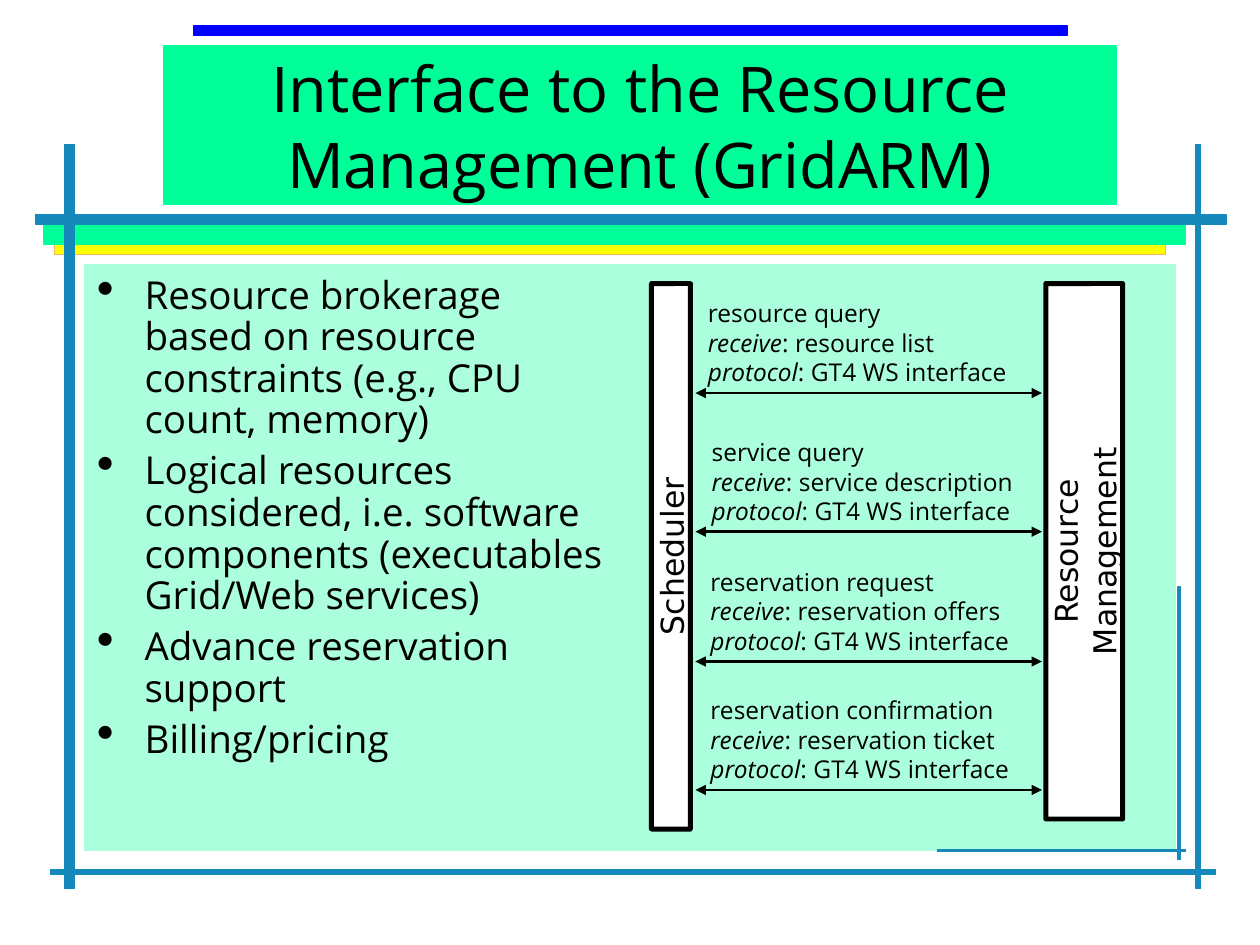
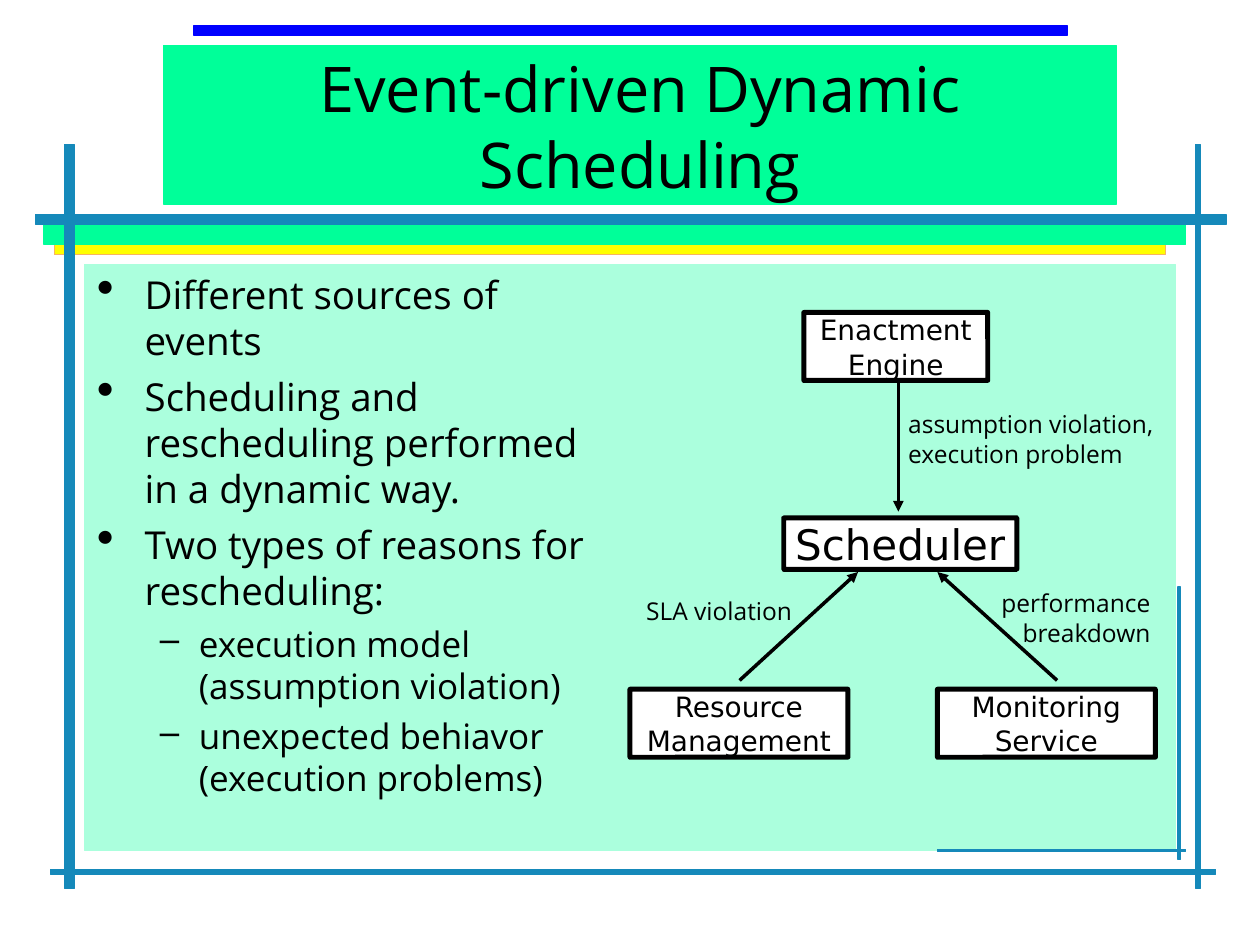
from dataclasses import dataclass

from lxml import etree
from pptx import Presentation
from pptx import util as u
from pptx.dml.color import RGBColor
from pptx.enum import shapes, text
from pptx.oxml import ns


@dataclass(frozen=True)
class Theme:
    black: str = "000000"
    white: str = "FFFFFF"
    mint: str = "ABFFDD"
    green: str = "00FF99"
    yellow: str = "FFFF00"
    amber: str = "F8B45F"
    teal: str = "1589BA"
    blue: str = "0000FF"
    body_font: str = "Open Sans"
    box_font: str = "DejaVu Sans"
    title_size: float = 36
    bullet_size: float = 22
    sub_bullet_size: float = 20
    label_size: float = 14
    node_size: float = 16
    bar_size: float = 18
    hub_size: float = 24
    node_line: float = 2.83


THEME = Theme()
LEFT, CENTER, RIGHT = text.PP_ALIGN.LEFT, text.PP_ALIGN.CENTER, text.PP_ALIGN.RIGHT

# left, top, width, height, fill, line colour, line width
FRAME = [
    (0.67, 2.1, 8.66, 4.65, THEME.mint, THEME.mint, 0.75),
    (1.3, 0.36, 7.56, 1.26, THEME.green, THEME.green, 0.75),
    (0.43, 1.94, 8.82, 0.08, THEME.yellow, THEME.amber, 0.75),
    (0.35, 1.78, 9.06, 0.16, THEME.green, THEME.green, 0.75),
    (0.51, 1.15, 0.08, 5.9, THEME.teal, THEME.teal, 0.75),
    (0.28, 1.7, 9.45, 0.08, THEME.teal, THEME.teal, 0.75),
    (1.54, 0.2, 6.93, 0.08, THEME.blue, THEME.blue, 0.75),
    (0.4, 6.9, 9.25, 0.04, THEME.teal, THEME.teal, 0),
    (9.49, 1.15, 0.04, 5.9, THEME.teal, THEME.teal, 0),
    (9.35, 4.66, 0.02, 2.16, THEME.teal, THEME.teal, 0),
    (7.44, 6.74, 1.97, 0.02, THEME.teal, THEME.teal, 0),
]

# line height, label left, label width, request, answer
EXCHANGES = [
    (3.12, 5.52, 2.59, "resource query", "resource list"),
    (4.22, 5.55, 2.61, "service query", "service description"),
    (5.25, 5.54, 2.59, "reservation request", "reservation offers"),
    (6.27, 5.54, 2.59, "reservation confirmation", "reservation ticket"),
]


def inches(*lengths):
    return [u.Inches(length) for length in lengths]


def add_child(parent, tag, **attributes):
    child = etree.SubElement(parent, ns.qn(tag))
    for name, value in attributes.items():
        child.set(name, value)
    return child


def set_bullet(para, char, percent, left, hanging):
    props = para._p.get_or_add_pPr()
    props.set("marL", str(u.Inches(left)))
    props.set("indent", str(-u.Inches(hanging)))
    add_child(add_child(props, "a:buClr"), "a:srgbClr", val=THEME.black)
    add_child(props, "a:buSzPct", val=str(percent * 1000))
    add_child(props, "a:buChar", char=char)


def write(para, content, size, font=THEME.body_font, align=LEFT, spacing=None,
          before=0):
    """Fill a paragraph; content is a string or a list of (words, italic)."""
    para.alignment = align
    if spacing:
        para.line_spacing = spacing
    para.space_before = u.Pt(before)
    spans = [(content, False)] if isinstance(content, str) else content
    for words, italic in spans:
        span = para.add_run()
        span.text = words
        span.font.name = font
        span.font.size = u.Pt(size)
        span.font.italic = italic
        span.font.color.rgb = RGBColor.from_string(THEME.black)


def paragraphs(frame, count):
    return [frame.paragraphs[0]] + [frame.add_paragraph() for _ in range(count - 1)]


def write_lines(frame, lines, **style):
    for para, line in zip(paragraphs(frame, len(lines)), lines):
        write(para, line, **style)


def add_filled(page, kind, at, fill, line, width):
    box = page.shapes.add_shape(kind, *inches(*at))
    box.shadow.inherit = False
    box.fill.solid()
    box.fill.fore_color.rgb = RGBColor.from_string(fill)
    box.line.color.rgb = RGBColor.from_string(line)
    box.line.width = u.Pt(width)
    return box


def add_node(page, at, lines, size, rotation=0):
    """White box with a heavy outline and centred text."""
    box = add_filled(page, shapes.MSO_SHAPE.ROUNDED_RECTANGLE, at,
                     THEME.white, THEME.black, THEME.node_line)
    box.adjustments[0] = 0.004
    box.rotation = rotation
    frame = box.text_frame
    frame.margin_left = frame.margin_right = 0
    frame.margin_top = frame.margin_bottom = 0
    frame.word_wrap = True
    frame.vertical_anchor = text.MSO_ANCHOR.MIDDLE
    frame.auto_size = text.MSO_AUTO_SIZE.SHAPE_TO_FIT_TEXT
    write_lines(frame, lines, size=size, font=THEME.box_font, align=CENTER,
                spacing=1.02)


def add_label(page, at, lines, align=LEFT):
    frame = page.shapes.add_textbox(*inches(*at)).text_frame
    frame.word_wrap = False
    frame.auto_size = text.MSO_AUTO_SIZE.SHAPE_TO_FIT_TEXT
    write_lines(frame, lines, size=THEME.label_size, align=align)


def add_arrow(page, start, end, width, both_ends=False):
    arrow = page.shapes.add_connector(
        shapes.MSO_CONNECTOR.STRAIGHT, *inches(*start, *end))
    arrow.line.color.rgb = RGBColor.from_string(THEME.black)
    arrow.line.width = u.Pt(width)
    outline = arrow.line._get_or_add_ln()
    if both_ends:
        add_child(outline, "a:headEnd", type="triangle")
    add_child(outline, "a:tailEnd", type="triangle")
    add_child(arrow._element.spPr, "a:effectLst")


def add_bullets(page, at, items, spacing=None):
    """Items are (level, words) pairs."""
    frame = page.shapes.add_textbox(*inches(*at)).text_frame
    frame.word_wrap = True
    for index, (para, (level, words)) in enumerate(
            zip(paragraphs(frame, len(items)), items)):
        para.level = level
        if level:
            set_bullet(para, "–", 100, 0.81, 0.31)
            size, before = THEME.sub_bullet_size, 5
        else:
            set_bullet(para, "•", 130, 0.38, 0.38)
            size, before = THEME.bullet_size, 5.5
        write(para, words, size, spacing=spacing, before=before if index else 0)


def add_page(deck, title):
    page = deck.slides.add_slide(deck.slide_layouts[6])
    for *at, fill, line, width in FRAME:
        add_filled(page, shapes.MSO_SHAPE.RECTANGLE, at, fill, line, width)
    frame = page.shapes.add_textbox(*inches(1.3, 0.37, 7.56, 1.25)).text_frame
    frame.word_wrap = True
    frame.vertical_anchor = text.MSO_ANCHOR.MIDDLE
    write(frame.paragraphs[0], title, THEME.title_size, align=CENTER)
    return page


def build_interface(deck):
    page = add_page(deck, "Interface to the Resource Management (GridARM)")
    add_bullets(page, (0.67, 2.14, 4.33, 4.6), [
        (0, "Resource brokerage based on resource constraints "
            "(e.g., CPU count, memory)"),
        (0, "Logical resources considered, i.e. software components "
            "(executables Grid/Web services)"),
        (0, "Advance reservation support"),
        (0, "Billing/pricing"),
    ], spacing=0.9)
    add_node(page, (3.16, 4.26, 4.33, 0.31), ["Scheduler"], THEME.bar_size, 270)
    add_node(page, (6.48, 4.07, 4.25, 0.61), ["Resource", "Management"],
             THEME.bar_size, 270)
    for y, left, width, request, answer in EXCHANGES:
        add_arrow(page, (5.52, y), (8.27, y), 1.5, both_ends=True)
        add_label(page, (left, y - 0.8, width, 0.8), [
            request,
            [("receive", True), (f": {answer}", False)],
            [("protocol", True), (": GT4 WS interface", False)],
        ])


def build_scheduling(deck):
    page = add_page(deck, "Event-driven Dynamic Scheduling")
    add_bullets(page, (0.67, 2.1, 4.25, 4.6), [
        (0, "Different sources of events"),
        (0, "Scheduling and rescheduling performed in a dynamic way."),
        (0, "Two types of reasons for rescheduling:"),
        (1, "execution model (assumption violation)"),
        (1, "unexpected behiavor (execution problems)"),
    ])
    add_node(page, (6.22, 4.11, 1.85, 0.41), ["Scheduler"], THEME.hub_size)
    add_node(page, (6.38, 2.48, 1.46, 0.54), ["Enactment Engine"], THEME.node_size)
    for left, lines in [(5, ["Resource", "Management"]),
                        (7.44, ["Monitoring", "Service"])]:
        add_node(page, (left, 5.47, 1.73, 0.54), lines, THEME.node_size)
    for start, end in [((7.13, 3.04), (7.13, 4.06)),
                       ((5.87, 5.4), (6.81, 4.54)),
                       ((8.39, 5.4), (7.44, 4.54))]:
        add_arrow(page, start, end, 2)
    add_label(page, (7.11, 3.2, 2.16, 0.57),
              ["assumption violation,", "execution problem"])
    add_label(page, (5.03, 4.68, 1.37, 0.34), ["SLA violation"])
    add_label(page, (7.84, 4.62, 1.39, 0.57), ["performance", "breakdown"], RIGHT)


def main():
    deck = Presentation()
    deck.slide_width, deck.slide_height = inches(10, 7.5)
    build_interface(deck)
    build_scheduling(deck)
    deck.save("out.pptx")


if __name__ == "__main__":
    main()
